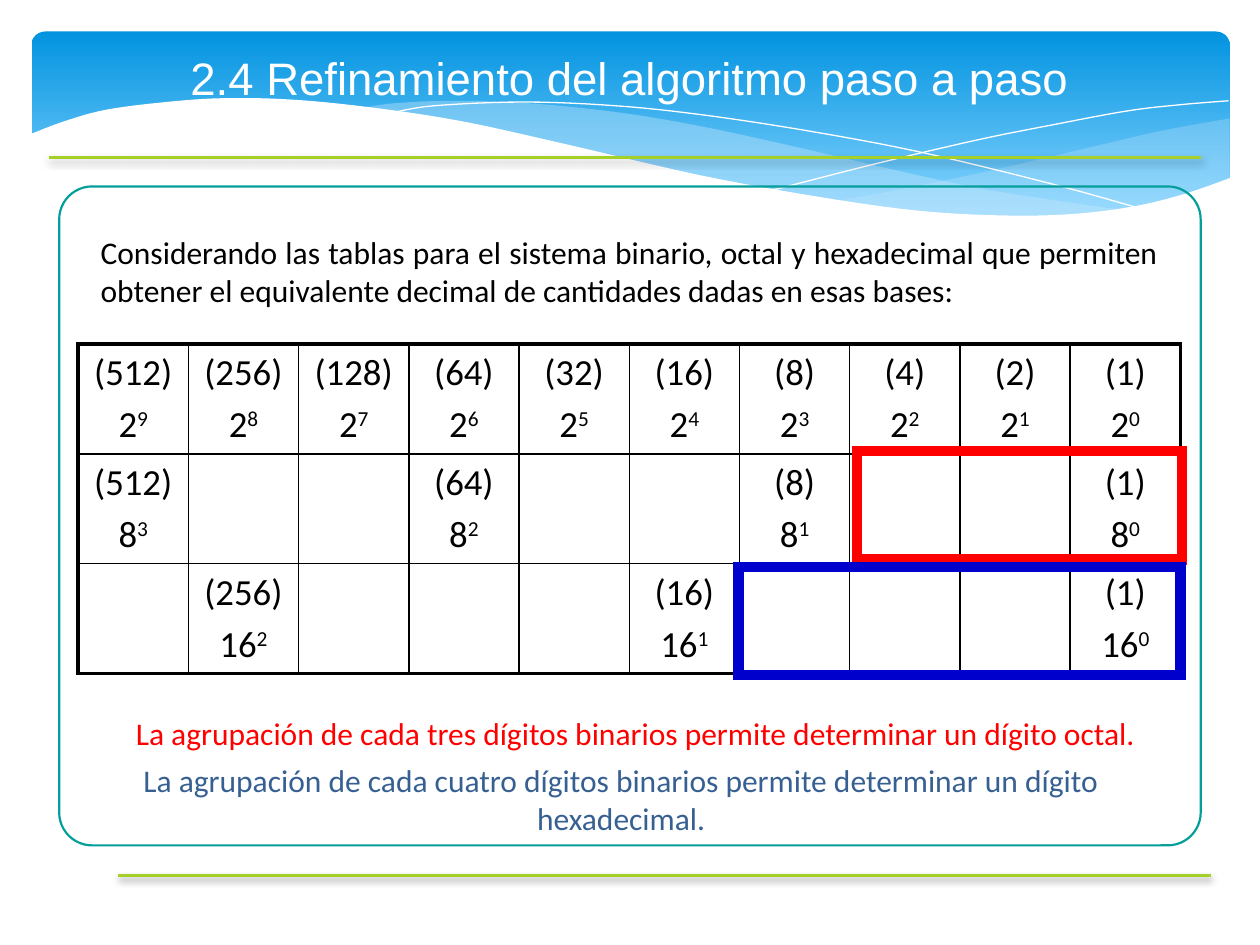
from lxml import etree
from pptx import Presentation
from pptx.dml.color import RGBColor
from pptx.enum.shapes import MSO_CONNECTOR, MSO_SHAPE
from pptx.enum.text import MSO_ANCHOR, PP_ALIGN as ALIGN
from pptx.oxml import parse_xml
from pptx.oxml.ns import nsdecls, qn
from pptx.util import Inches, Pt

WHITE = RGBColor(0xFF, 0xFF, 0xFF)
BLACK = RGBColor(0x00, 0x00, 0x00)
SKY = RGBColor(0x02, 0x93, 0xE0)
PALE_SKY = RGBColor(0x83, 0xD3, 0xFE)
MIST = RGBColor(0xC6, 0xE7, 0xFC)
LIME = RGBColor(0xA5, 0xD0, 0x28)
TEAL = RGBColor(0x04, 0x9E, 0x9B)
RED = RGBColor(0xFF, 0x00, 0x00)
BLUE = RGBColor(0x00, 0x00, 0xCC)
STEEL = RGBColor(0x37, 0x60, 0x92)

presentation = Presentation()
presentation.slide_width = Inches(10)
presentation.slide_height = Inches(7.5)
slide = presentation.slides.add_slide(presentation.slide_layouts[6])
shapes = slide.shapes


def smooth(knots, steps=6):
    """Return points on a Catmull-Rom curve through the knots."""
    padded = [knots[0], *knots, knots[-1]]
    points = [knots[0]]
    for a, b, c, d in zip(padded, padded[1:], padded[2:], padded[3:]):
        for step in range(1, steps + 1):
            t = step / steps
            points.append(tuple(
                0.5 * (2 * q + (r - p) * t + (2 * p - 5 * q + 4 * r - s) * t**2
                       + (3 * q - p - 3 * r + s) * t**3)
                for p, q, r, s in zip(a, b, c, d)))
    return points


def add_text(left, top, width, height, text, size, font_name, color, align):
    box = shapes.add_textbox(Inches(left), Inches(top), Inches(width), Inches(height))
    frame = box.text_frame
    frame.word_wrap = True
    frame.text = text
    paragraph = frame.paragraphs[0]
    paragraph.alignment = align
    font = paragraph.runs[0].font
    font.size, font.name, font.color.rgb = Pt(size), font_name, color
    return frame


# Header band
band = shapes.add_shape(MSO_SHAPE.ROUNDED_RECTANGLE,
                        Inches(0.25), Inches(0.25), Inches(9.51), Inches(1.56))
band.adjustments[0] = 0.07
band.shadow.inherit = False
band.line.fill.background()
band.fill.gradient()
band.fill.gradient_angle = 270
for stop, color, position in zip(band.fill.gradient_stops, (SKY, PALE_SKY), (0, 0.9)):
    stop.color.rgb = color
    stop.position = position

# Waves: outline, fill colour (None for a hairline), opacity in percent
right_swell = (
    smooth([(9.76, 0.94), (9.21, 1.04), (8.61, 1.18), (7.79, 1.37), (7.06, 1.52), (6.61, 1.6)])
    + smooth([(6.61, 1.6), (7.19, 1.67), (7.69, 1.71), (8.14, 1.72), (8.54, 1.7),
              (8.97, 1.65), (9.35, 1.56), (9.76, 1.41)]))
middle_swell = (
    smooth([(8.93, 1.67), (8.37, 1.59), (7.75, 1.49), (7.06, 1.34), (6.29, 1.16), (5.55, 1),
            (4.89, 0.89), (4.2, 0.82), (3.61, 0.8), (3.13, 0.82), (2.86, 0.86)])
    + smooth([(2.86, 0.86), (3.42, 0.94), (4.04, 1.06), (4.91, 1.26), (5.66, 1.43), (6.34, 1.56),
              (6.95, 1.65), (7.48, 1.7), (8.07, 1.73), (8.57, 1.71), (8.93, 1.67)]))
falling_line = smooth([(3.09, 0.9), (3.44, 0.84), (4.16, 0.81), (4.89, 0.84), (5.56, 0.91),
                       (6.36, 1.03), (7.27, 1.2), (8.31, 1.45), (9.07, 1.66)])
rising_line = smooth([(6.13, 1.51), (6.95, 1.3), (7.76, 1.11), (8.36, 0.99),
                      (8.95, 0.88), (9.38, 0.83), (9.75, 0.8)])
white_wave = smooth([
    (9.77, 1.41), (9.4, 1.54), (8.99, 1.64), (8.5, 1.7), (7.93, 1.71), (7.26, 1.67), (6.48, 1.56),
    (5.55, 1.39), (4.47, 1.14), (3.65, 0.96), (2.92, 0.85), (2.3, 0.79), (1.77, 0.78),
    (1.32, 0.81), (0.85, 0.87), (0.52, 0.96), (0.23, 1.07)]) + [(0.23, 2.24), (9.77, 2.24)]
waves = [
    (right_swell, MIST, 29),
    (middle_swell, MIST, 40),
    (falling_line, None, 100),
    (rising_line, None, 100),
    (white_wave, WHITE, 100),
]
for outline, color, opacity in waves:
    points = [(Inches(x), Inches(y)) for x, y in outline]
    builder = shapes.build_freeform(*points[0])
    builder.add_line_segments(points[1:], close=color is not None)
    wave = builder.convert_to_shape()
    wave.shadow.inherit = False
    if color is None:
        wave.fill.background()
        wave.line.color.rgb = WHITE
        wave.line.width = Pt(0)
        continue
    wave.line.fill.background()
    wave.fill.solid()
    wave.fill.fore_color.rgb = color
    if opacity < 100:
        srgb = wave.element.spPr.find(qn("a:solidFill"))[0]
        etree.SubElement(srgb, qn("a:alpha"), val=str(opacity * 1000))

# Green rules with a soft shadow
for left, right, y in [(0.39, 9.53, 1.25), (0.94, 9.61, 6.95)]:
    rule = shapes.add_connector(MSO_CONNECTOR.STRAIGHT,
                                Inches(right), Inches(y), Inches(left), Inches(y))
    rule.line.color.rgb = LIME
    rule.line.width = Pt(2)
    rule.element.spPr.append(parse_xml(
        f'<a:effectLst {nsdecls("a")}><a:outerShdw blurRad="{Pt(4)}" dist="{Pt(2)}" '
        'dir="5400000" rotWithShape="0"><a:srgbClr val="000000"><a:alpha val="38000"/>'
        '</a:srgbClr></a:outerShdw></a:effectLst>'))

panel = shapes.add_shape(MSO_SHAPE.ROUNDED_RECTANGLE,
                         Inches(0.47), Inches(1.48), Inches(9.06), Inches(5.23))
panel.adjustments[0] = 0.05
panel.shadow.inherit = False
panel.fill.background()
panel.line.color.rgb = TEAL
panel.line.width = Pt(1.25)

# Powers: each base shows one power every `stride` binary columns
BASES = [(2, 1), (8, 3), (16, 4)]
COLUMNS = 10
table = shapes.add_table(len(BASES), COLUMNS, Inches(0.62), Inches(2.73),
                         Inches(8.75), Inches(2.61)).table
table.first_row = table.horz_banding = False
for row, (base, stride) in enumerate(BASES):
    for column in range(COLUMNS):
        cell = table.cell(row, column)
        outer_sides = {"lnL": column == 0, "lnR": column == COLUMNS - 1,
                       "lnT": row == 0, "lnB": row == len(BASES) - 1}
        properties = cell._tc.get_or_add_tcPr()
        for side, is_outer in outer_sides.items():
            properties.append(parse_xml(
                f'<a:{side} {nsdecls("a")} w="{Pt(2.25 if is_outer else 1)}"><a:solidFill>'
                f'<a:srgbClr val="{BLACK}"/></a:solidFill></a:{side}>'))
        cell.fill.background()
        cell.vertical_anchor = MSO_ANCHOR.MIDDLE
        exponent, remainder = divmod(COLUMNS - 1 - column, stride)
        if remainder:
            continue
        value_line = cell.text_frame.paragraphs[0]
        value_line.text = f"({base ** exponent})"
        power_line = cell.text_frame.add_paragraph()
        power_line.text = str(base)
        power_line.space_before = Pt(4.2)
        superscript = power_line.add_run()
        superscript.text = str(exponent)
        for paragraph in (value_line, power_line):
            paragraph.alignment = ALIGN.CENTER
            for run in paragraph.runs:
                run.font.size, run.font.name = Pt(21), "Calibri"
                run.font.color.rgb = BLACK
        superscript.font._element.set("baseline", "30000")

add_text(0.7, 1.8, 8.59, 0.7,
         "Considerando las tablas para el sistema binario, octal y hexadecimal que permiten "
         "obtener el equivalente decimal de cantidades dadas en esas bases:",
         18, "Calibri", BLACK, ALIGN.JUSTIFY)
add_text(0.79, 5.62, 8.51, 0.4,
         "La agrupación de cada tres dígitos binarios permite determinar un dígito octal.",
         18, "Calibri", RED, ALIGN.CENTER)

# Frames around the grouped digits
for left, top, width, color in [(6.8, 3.58, 2.58, RED), (5.86, 4.5, 3.51, BLUE)]:
    frame = shapes.add_shape(MSO_SHAPE.RECTANGLE,
                             Inches(left), Inches(top), Inches(width), Inches(0.86))
    frame.shadow.inherit = False
    frame.fill.background()
    frame.line.color.rgb = color
    frame.line.width = Pt(6)
    etree.SubElement(frame.element.spPr.find(qn("a:ln")), qn("a:miter"), lim="800000")

add_text(0.75, 5.99, 8.36, 0.71,
         "La agrupación de cada cuatro dígitos binarios permite determinar un dígito hexadecimal.",
         18, "Calibri", STEEL, ALIGN.CENTER)
title = add_text(0, 0, 10, 1.23, "2.4 Refinamiento del algoritmo paso a paso",
                 26, "Arial", WHITE, ALIGN.CENTER)
title.vertical_anchor = MSO_ANCHOR.MIDDLE

presentation.save("out.pptx")
